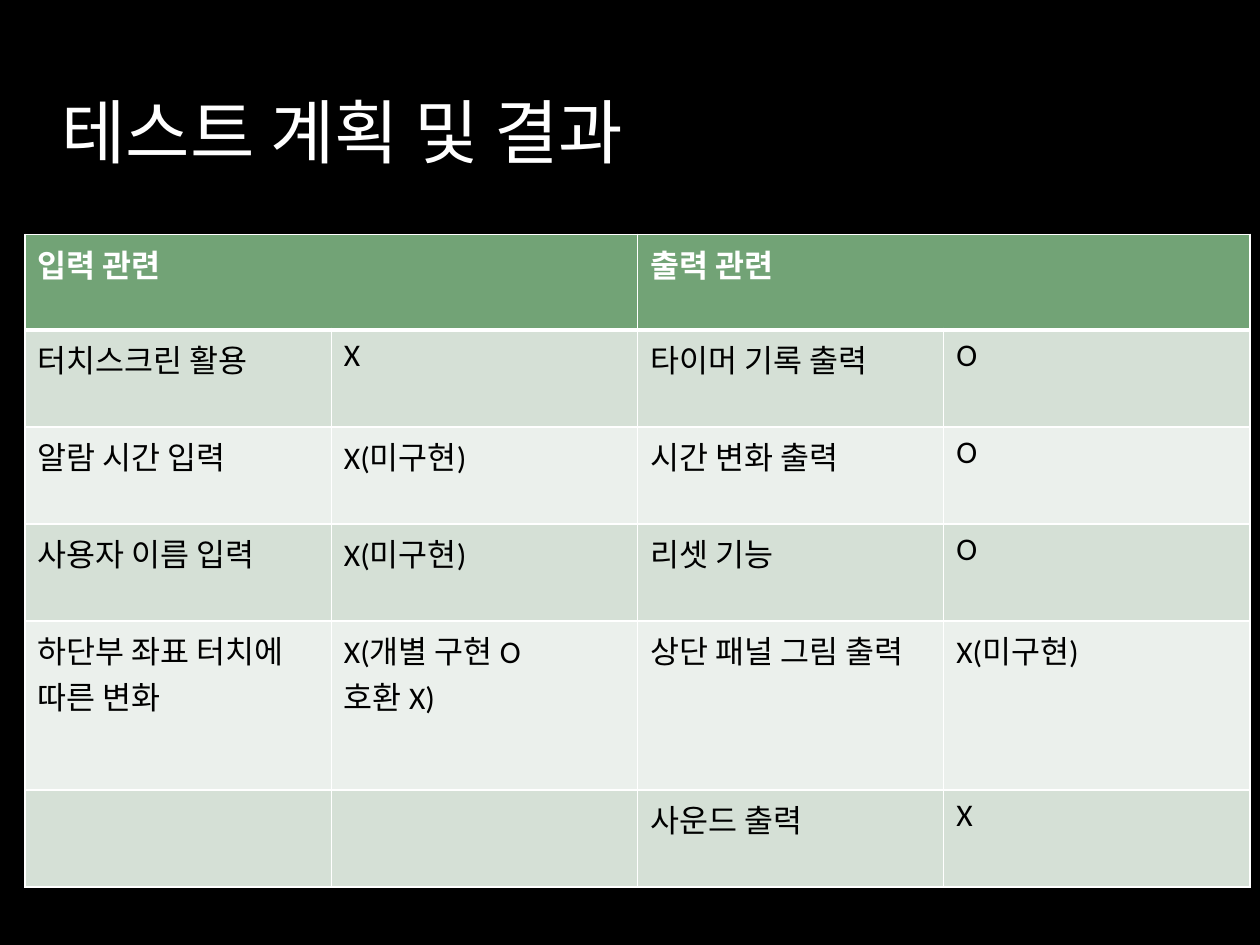
from dataclasses import dataclass

from lxml.etree import SubElement
from pptx import Presentation
from pptx.dml.color import RGBColor as Color
from pptx.enum.text import MSO_ANCHOR as Anchor
from pptx.oxml.ns import qn
from pptx.util import Inches, Pt


@dataclass(frozen=True)
class Theme:
    font: str = "Calibri"
    background: str = "000000"
    light: str = "FFFFFF"
    dark: str = "000000"
    header_fill: str = "72A376"
    band_fills: tuple = ("D5E0D6", "EBF0EC")
    title_size: int = 40
    table_size: int = 18
    border: int = 1
    header_border: int = 3


class SlideBuilder:
    def __init__(self, slide, theme):
        self.slide = slide
        self.theme = theme
        fill = slide.background.fill
        fill.solid()
        fill.fore_color.rgb = Color.from_string(theme.background)

    def set_text(self, frame, text, size, color, bold=False):
        frame.text = text
        for paragraph in frame.paragraphs:
            font = paragraph.font
            font.name = self.theme.font
            font.size = Pt(size)
            font.bold = bold
            font.color.rgb = Color.from_string(color)

    def title(self, text, left, top, width, height):
        box = self.slide.shapes.add_textbox(
            Inches(left), Inches(top), Inches(width), Inches(height))
        frame = box.text_frame
        frame.word_wrap = True
        frame.vertical_anchor = Anchor.BOTTOM
        self.set_text(frame, text, self.theme.title_size, self.theme.light)
        frame.paragraphs[0].space_before = Pt(4)

    def borders(self, cell, top, bottom):
        properties = cell._tc.get_or_add_tcPr()
        widths = {"a:lnL": self.theme.border, "a:lnR": self.theme.border,
                  "a:lnT": top, "a:lnB": bottom}
        for tag, width in widths.items():
            line = SubElement(properties, qn(tag), w=str(Pt(width)))
            fill = SubElement(line, qn("a:solidFill"))
            SubElement(fill, qn("a:srgbClr"), val=self.theme.light)

    def table(self, headers, rows, left, top, width, heights):
        """Draw a banded table whose headers each span two columns."""
        theme = self.theme
        columns = len(rows[0])
        table = self.slide.shapes.add_table(
            len(heights), columns, Inches(left), Inches(top),
            Inches(width), Inches(sum(heights))).table
        for row, height in zip(table.rows, heights):
            row.height = Inches(height)

        span = columns // len(headers)
        header_row = [""] * columns
        header_row[::span] = headers
        for row_index, texts in enumerate([header_row, *rows]):
            is_header = row_index == 0
            fill_color = (theme.header_fill if is_header
                          else theme.band_fills[(row_index - 1) % 2])
            for column, text in enumerate(texts):
                cell = table.cell(row_index, column)
                self.borders(
                    cell,
                    theme.header_border if row_index == 1 else theme.border,
                    theme.header_border if is_header else theme.border)
                cell.fill.solid()
                cell.fill.fore_color.rgb = Color.from_string(fill_color)
                self.set_text(cell.text_frame, text, theme.table_size,
                              theme.light if is_header else theme.dark,
                              is_header)

        for column in range(0, columns, span):
            table.cell(0, column).merge(table.cell(0, column + span - 1))


def main():
    presentation = Presentation()
    presentation.slide_width = Inches(10)
    presentation.slide_height = Inches(7.5)
    slide = presentation.slides.add_slide(presentation.slide_layouts[6])
    builder = SlideBuilder(slide, Theme())

    builder.table(
        headers=["입력 관련", "출력 관련"],
        rows=[
            ["터치스크린 활용", "X", "타이머 기록 출력", "O"],
            ["알람 시간 입력", "X(미구현)", "시간 변화 출력", "O"],
            ["사용자 이름 입력", "X(미구현)", "리셋 기능", "O"],
            ["하단부 좌표 터치에 따른 변화", "X(개별 구현 O\n호환 X)",
             "상단 패널 그림 출력", "X(미구현)"],
            ["", "", "사운드 출력", "X"],
        ],
        left=0.2, top=1.86, width=9.72,
        heights=[0.76, 0.77, 0.77, 0.77, 1.34, 0.77])
    builder.title("테스트 계획 및 결과", 0.39, 0.25, 8.4, 1.17)

    presentation.save("out.pptx")


if __name__ == "__main__":
    main()
